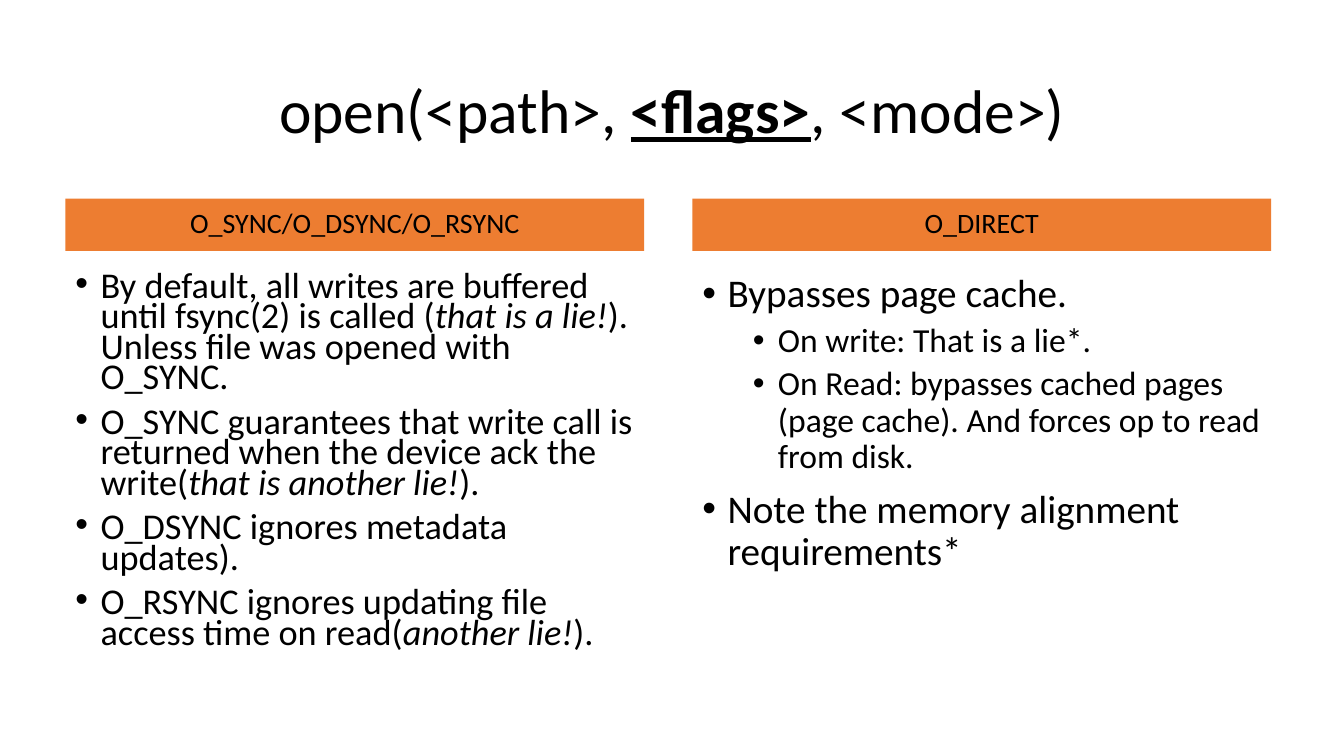
import pptx
import pptx.util
import pptx.dml.color
import pptx.enum.shapes
import pptx.enum.text
import pptx.oxml
import pptx.oxml.ns

Pt = pptx.util.Pt
ALIGN = pptx.enum.text.PP_ALIGN
ANCHOR = pptx.enum.text.MSO_ANCHOR
COLORS = {"text": "000000", "band": "ED7D31"}
FONT = "Calibri"

# Content: a run is (text, style), style "b" bold underlined, "i" italic
TITLE = [("open(<path>, ", ""), ("<flags>", "b"), (", <mode>)", "")]
# Columns: heading, line spacing, text size per level, items as (level, runs)
COLUMNS = [
    ("O_SYNC/O_DSYNC/O_RSYNC", 0.7, (25.9,), [
        (0, [("By default, all writes are buffered until fsync(2) is called (", ""),
             ("that is a lie!", "i"),
             ("). Unless file was opened with O_SYNC.", "")]),
        (0, [("O_SYNC guarantees that write call is returned when the device "
              "ack the write(", ""),
             ("that is another lie!", "i"), (").", "")]),
        (0, [("O_DSYNC ignores metadata updates).", "")]),
        (0, [("O_RSYNC ignores updating file access time on read(", ""),
             ("another lie!", "i"), (").", "")]),
    ]),
    ("O_DIRECT", 0.9, (28, 24), [
        (0, [("Bypasses page cache.", "")]),
        (1, [("On write: That is a lie*.", "")]),
        (1, [("On Read: bypasses cached pages (page cache). And forces op to "
              "read from disk.", "")]),
        (0, [("Note the memory alignment requirements*", "")]),
    ]),
]

# Layout in points
LEFT, STEP, WIDTH = 46.8, 447.84, 413.28
BAND_TOP, BAND_HIGH = 141.84, 37.44
BODY_TOP, BODY_HIGH = 192.24, 289.44


def color(name):
    return pptx.dml.color.RGBColor.from_string(COLORS[name])


def fill_para(para, runs, size, lines=0.9, before=0, align=ALIGN.LEFT):
    para.alignment = align
    para.line_spacing = lines
    para.space_before = Pt(before)
    for text, style in runs:
        run = para.add_run()
        run.text = text
        font = run.font
        font.name, font.size = FONT, Pt(size)
        font.color.rgb = color("text")
        font.bold = font.underline = style == "b"
        font.italic = style == "i"


def add_bullet(para, level):
    para.level = level
    props = para._p.get_or_add_pPr()
    props.set("marL", str(Pt(18 + 36 * level)))
    props.set("indent", str(-Pt(18)))
    space = pptx.oxml.ns.nsdecls("a")
    for tag in ('buFont %s typeface="Arial"', 'buChar %s char="\u2022"'):
        props.append(pptx.oxml.parse_xml("<a:" + tag % space + "/>"))


deck = pptx.Presentation()
deck.slide_width, deck.slide_height = Pt(960), Pt(540)
slide = deck.slides.add_slide(deck.slide_layouts[5])

# Title
title = slide.shapes.title
title.left, title.top, title.width, title.height = Pt(66), Pt(28.8), Pt(828), Pt(104.4)
title.text_frame.vertical_anchor = ANCHOR.MIDDLE
fill_para(title.text_frame.paragraphs[0], TITLE, 44, align=ALIGN.CENTER)

for col, (head, lines, sizes, items) in enumerate(COLUMNS):
    left = Pt(LEFT + col * STEP)

    # Bulleted text
    body = slide.shapes.add_textbox(left, Pt(BODY_TOP), Pt(WIDTH), Pt(BODY_HIGH))
    frame = body.text_frame
    frame.word_wrap = True
    for num, (level, runs) in enumerate(items):
        para = frame.add_paragraph() if num else frame.paragraphs[0]
        fill_para(para, runs, sizes[level], lines, 5 if level else 10)
        add_bullet(para, level)

    # Heading band
    band = slide.shapes.add_shape(pptx.enum.shapes.MSO_SHAPE.RECTANGLE, left,
                                  Pt(BAND_TOP), Pt(WIDTH), Pt(BAND_HIGH))
    band.shadow.inherit = False
    band.fill.solid()
    band.fill.fore_color.rgb = color("band")
    band.line.fill.background()
    band.text_frame.word_wrap = True
    band.text_frame.vertical_anchor = ANCHOR.MIDDLE
    fill_para(band.text_frame.paragraphs[0], [(head, "")], 20, before=10,
              align=ALIGN.CENTER)

deck.save("out.pptx")
